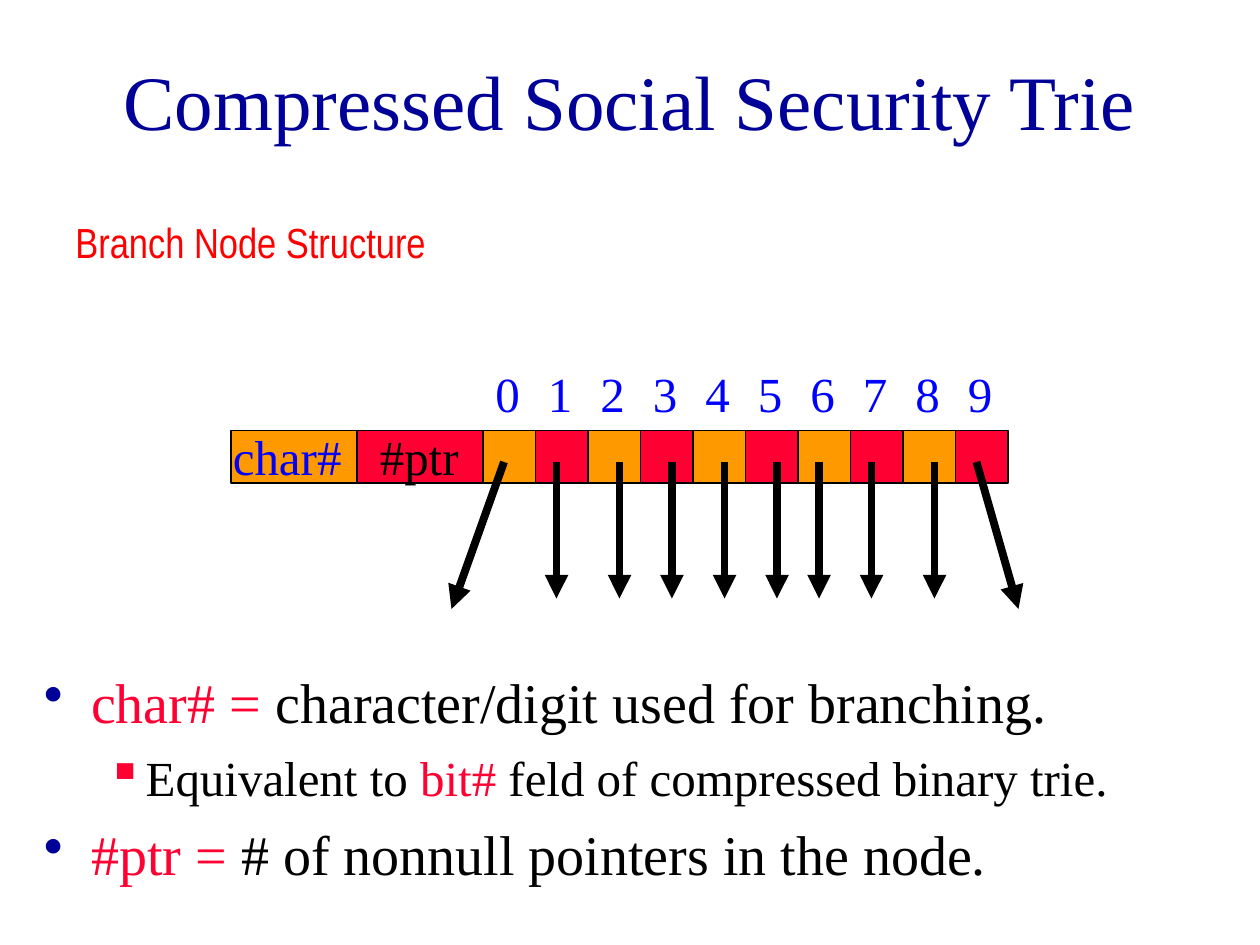
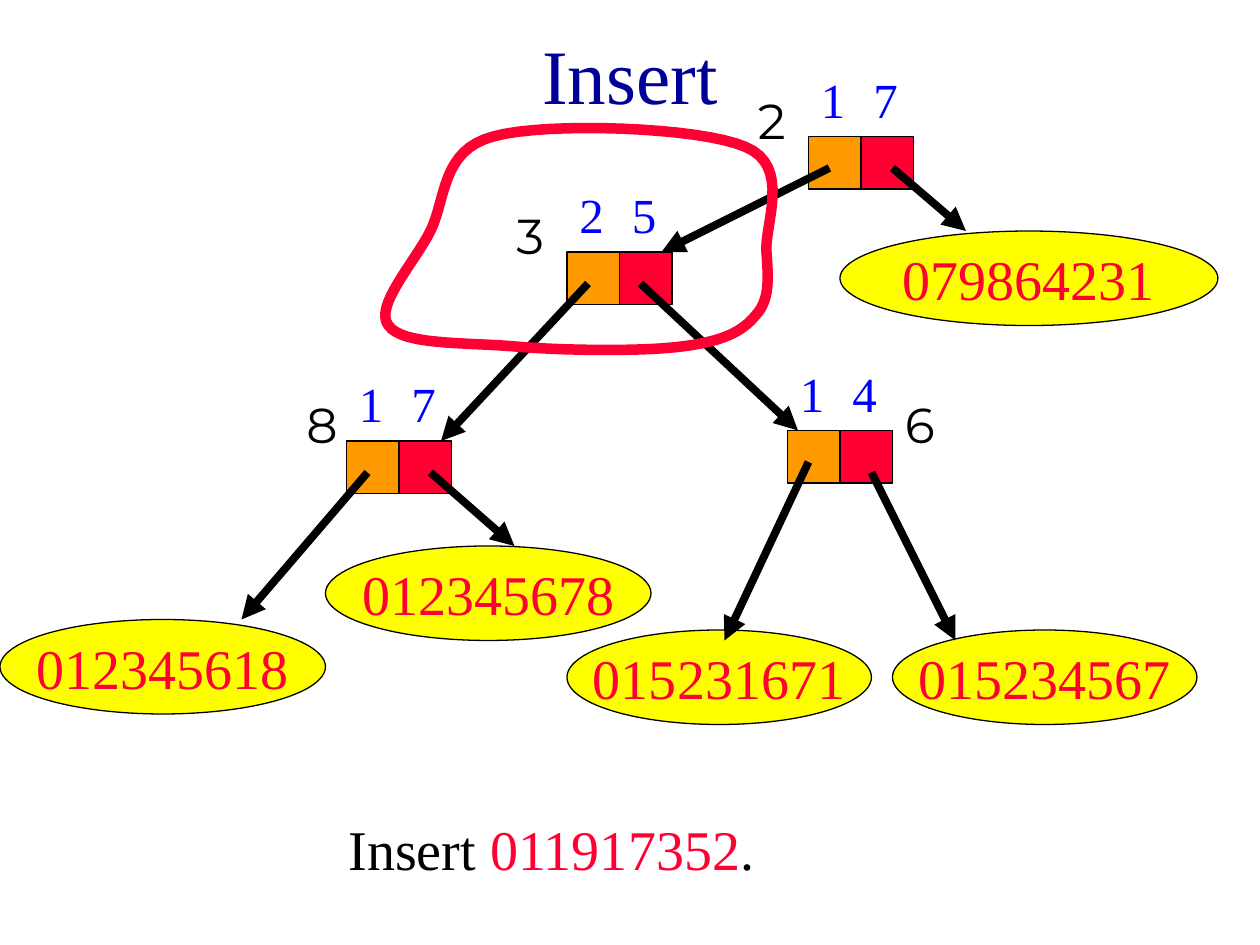
from dataclasses import dataclass

from lxml import etree
from pptx import Presentation
from pptx.dml.color import RGBColor
from pptx.enum.shapes import MSO_CONNECTOR, MSO_SHAPE
from pptx.enum.text import MSO_ANCHOR, MSO_AUTO_SIZE, PP_ALIGN
from pptx.oxml.ns import qn
from pptx.presentation import Presentation as Deck
from pptx.shapes.autoshape import Shape
from pptx.slide import Slide
from pptx.text.text import TextFrame, _Paragraph
from pptx.util import Emu, Pt

RECTANGLE, OVAL = MSO_SHAPE.RECTANGLE, MSO_SHAPE.OVAL
STRAIGHT = MSO_CONNECTOR.STRAIGHT
MIDDLE = MSO_ANCHOR.MIDDLE
CENTER = PP_ALIGN.CENTER
NO_AUTOFIT = MSO_AUTO_SIZE.NONE

EMU_PER_PX = 914400 // 120
SERIF, NARROW, ROUND = "Times New Roman", "Arial Narrow", "Montserrat"
COLORS = {
    "white": "FFFFFF",
    "black": "000000",
    "navy": "000099",
    "blue": "0000FF",
    "red": "FF0000",
    "crimson": "FF0033",
    "orange": "FF9900",
    "yellow": "FFFF00",
    "ink": "010000",
}
CELL = 50
KEY_RISE = 70
CELL_FILLS = ("orange", "crimson")

Point = tuple[int, int]


@dataclass(frozen=True)
class Box:
    left: int
    top: int
    width: int
    height: int

    def emu(self) -> tuple[Emu, Emu, Emu, Emu]:
        return px(self.left), px(self.top), px(self.width), px(self.height)


@dataclass(frozen=True)
class Span:
    text: str
    color: str = "black"
    size: int = 28
    font: str = SERIF


@dataclass(frozen=True)
class Bullet:
    spans: tuple[Span, ...]
    level: int = 0


@dataclass(frozen=True)
class BulletStyle:
    symbol: str
    color: str
    margin: int
    hanging: int
    space_before: int


@dataclass(frozen=True)
class Arrow:
    start: Point
    end: Point


@dataclass(frozen=True)
class BranchNode:
    left: int
    top: int
    keys: str
    digit: str
    digit_at: Point


@dataclass(frozen=True)
class Leaf:
    number: str
    left: int
    top: int
    width: int


BULLET_STYLES = (
    BulletStyle("•", "navy", 45, 45, 8),
    BulletStyle("▪", "crimson", 97, 37, 7),
)
FIELD_NOTES = (
    Bullet((Span("char# =", "crimson", 32), Span(" character/digit used for branching.", size=32))),
    Bullet((Span("Equivalent to "), Span("bit#", "crimson"),
            Span(" feld of compressed binary trie.")), 1),
    Bullet((Span("#ptr =", "crimson", 32), Span(" # of nonnull pointers in the node.", size=32))),
)
POINTER_ARROWS = (
    Arrow((480, 440), (430, 580)),
    *(Arrow((x, 440), (x, 570)) for x in (530, 590, 640, 690, 740, 780, 830, 890)),
    Arrow((930, 440), (970, 580)),
)
TRIE_NODES = (
    BranchNode(770, 130, "17", "2", (710, 80)),
    BranchNode(540, 240, "25", "3", (480, 190)),
    BranchNode(330, 420, "17", "8", (280, 370)),
    BranchNode(750, 410, "14", "6", (850, 370)),
)
TRIE_LEAVES = (
    Leaf("079864231", 800, 220, 360),
    Leaf("012345678", 310, 520, 310),
    Leaf("012345618", 0, 590, 310),
    Leaf("015231671", 540, 600, 290),
    Leaf("015234567", 850, 600, 290),
)
TRIE_ARROWS = (
    Arrow((790, 160), (630, 240)),
    Arrow((850, 160), (920, 220)),
    Arrow((560, 270), (420, 420)),
    Arrow((610, 270), (760, 410)),
    Arrow((350, 450), (230, 590)),
    Arrow((410, 450), (490, 520)),
    Arrow((770, 440), (690, 610)),
    Arrow((830, 450), (910, 610)),
)
LOOP_START = (370, 310)
LOOP_CURVES = (
    ((383, 329), (443, 326), (490, 330)),
    ((536, 334), (612, 335), (650, 330)),
    ((689, 325), (707, 316), (720, 300)),
    ((733, 286), (732, 266), (730, 240)),
    ((728, 214), (754, 158), (710, 140)),
    ((667, 121), (520, 116), (470, 130)),
    ((420, 143), (425, 190), (410, 220)),
    ((395, 250), (356, 292), LOOP_START),
)
CURVE_STEPS = 16


def px(length: int) -> Emu:
    return Emu(length * EMU_PER_PX)


def rgb(color: str) -> RGBColor:
    return RGBColor.from_string(COLORS[color])


def add_span(paragraph: _Paragraph, span: Span) -> None:
    run = paragraph.add_run()
    run.text = span.text
    run.font.name = span.font
    run.font.size = Pt(span.size)
    run.font.color.rgb = rgb(span.color)


def add_title_slide(presentation: Deck, title: str, box: Box) -> Slide:
    slide = presentation.slides.add_slide(presentation.slide_layouts[5])
    shape = slide.shapes.title
    shape.left, shape.top, shape.width, shape.height = box.emu()
    text_frame = shape.text_frame
    text_frame.auto_size = NO_AUTOFIT
    text_frame.vertical_anchor = MIDDLE
    paragraph = text_frame.paragraphs[0]
    paragraph.alignment = CENTER
    add_span(paragraph, Span(title, "navy", 44))
    return slide


def add_text(slide: Slide, box: Box, *spans: Span, wrap: bool = True) -> Shape:
    shape = slide.shapes.add_textbox(*box.emu())
    shape.text_frame.word_wrap = wrap
    for span in spans:
        add_span(shape.text_frame.paragraphs[0], span)
    return shape


def add_preset(slide: Slide, preset: MSO_SHAPE, box: Box, fill: str) -> Shape:
    shape = slide.shapes.add_shape(preset, *box.emu())
    shape.shadow.inherit = False
    shape.fill.solid()
    shape.fill.fore_color.rgb = rgb(fill)
    shape.line.color.rgb = rgb("black")
    shape.line.width = Pt(0.75)
    return shape


def add_arrow(slide: Slide, arrow: Arrow) -> None:
    connector = slide.shapes.add_connector(
        STRAIGHT, *(px(value) for value in arrow.start + arrow.end))
    connector.line.color.rgb = rgb("black")
    connector.line.width = Pt(4.5)
    properties = connector._element.spPr
    etree.SubElement(properties.find(qn("a:ln")), qn("a:tailEnd"), type="triangle")
    etree.SubElement(properties, qn("a:effectLst"))


def add_key_cells(slide: Slide, left: int, top: int, keys: str) -> None:
    for index, key in enumerate(keys):
        x = left + index * CELL
        add_preset(slide, RECTANGLE, Box(x, top, CELL, CELL), CELL_FILLS[index % 2])
        add_text(slide, Box(x, top - KEY_RISE, 42, 68), Span(key, "blue"))


def add_leaf(slide: Slide, leaf: Leaf) -> None:
    shape = add_preset(slide, OVAL, Box(leaf.left, leaf.top, leaf.width, 90), "yellow")
    text_frame = shape.text_frame
    text_frame.word_wrap = False
    text_frame.vertical_anchor = MIDDLE
    paragraph = text_frame.paragraphs[0]
    paragraph.alignment = CENTER
    add_span(paragraph, Span(leaf.number, "crimson", 32))


def add_bullets(text_frame: TextFrame, bullets: tuple[Bullet, ...]) -> None:
    for index, bullet in enumerate(bullets):
        paragraph = text_frame.add_paragraph() if index else text_frame.paragraphs[0]
        style = BULLET_STYLES[bullet.level]
        properties = paragraph._p.get_or_add_pPr()
        properties.set("marL", str(px(style.margin)))
        properties.set("indent", str(-px(style.hanging)))
        bullet_color = etree.SubElement(properties, qn("a:buClr"))
        etree.SubElement(bullet_color, qn("a:srgbClr"), val=COLORS[style.color])
        etree.SubElement(properties, qn("a:buChar"), char=style.symbol)
        paragraph.level = bullet.level
        if index:
            paragraph.space_before = Pt(style.space_before)
        for span in bullet.spans:
            add_span(paragraph, span)


def loop_points() -> list[Point]:
    points, start = [], LOOP_START
    for first, second, end in LOOP_CURVES:
        for step in range(1, CURVE_STEPS + 1):
            t = step / CURVE_STEPS
            u = 1 - t
            points.append(tuple(
                round((u**3 * a + 3 * u * u * t * b + 3 * u * t * t * c + t**3 * d) * EMU_PER_PX)
                for a, b, c, d in zip(start, first, second, end)))
        start = end
    return points


def add_loop(slide: Slide) -> None:
    builder = slide.shapes.build_freeform(*(px(value) for value in LOOP_START))
    builder.add_line_segments(loop_points(), close=True)
    loop = builder.convert_to_shape()
    loop.shadow.inherit = False
    loop.fill.background()
    loop.line.color.rgb = rgb("crimson")
    loop.line.width = Pt(6)


def build_structure_slide(presentation: Deck) -> None:
    slide = add_title_slide(presentation, "Compressed Social Security Trie", Box(90, 20, 1020, 150))
    add_text(slide, Box(60, 200, 371, 76),
             Span("Branch Node Structure", "red", 24, NARROW), wrap=False)
    add_preset(slide, RECTANGLE, Box(220, 410, 120, CELL), "orange")
    add_preset(slide, RECTANGLE, Box(340, 410, 120, CELL), "crimson")
    add_text(slide, Box(210, 400, 130, 68), Span("char#", "blue"))
    add_text(slide, Box(350, 400, 130, 68), Span("#ptr"))
    add_key_cells(slide, 460, 410, "0123456789")
    for arrow in POINTER_ARROWS:
        add_arrow(slide, arrow)
    notes = add_text(slide, Box(30, 630, 1130, 270))
    add_bullets(notes.text_frame, FIELD_NOTES)


def build_insert_slide(presentation: Deck) -> None:
    slide = add_title_slide(presentation, "Insert", Box(90, 20, 1020, 100))
    caption = add_text(slide, Box(320, 770, 440, 90), Span("Insert ", size=32),
                       Span("011917352", "crimson", 32), Span(".", size=32))
    caption.fill.solid()
    caption.fill.fore_color.rgb = rgb("white")
    for leaf in TRIE_LEAVES:
        add_leaf(slide, leaf)
    for node in TRIE_NODES:
        add_key_cells(slide, node.left, node.top, node.keys)
        add_text(slide, Box(*node.digit_at, 80, 68), Span(node.digit, "ink", font=ROUND))
    for arrow in TRIE_ARROWS:
        add_arrow(slide, arrow)
    add_loop(slide)


def main() -> None:
    presentation = Presentation()
    presentation.slide_width, presentation.slide_height = px(1200), px(900)
    build_structure_slide(presentation)
    build_insert_slide(presentation)
    presentation.save("out.pptx")


if __name__ == "__main__":
    main()
